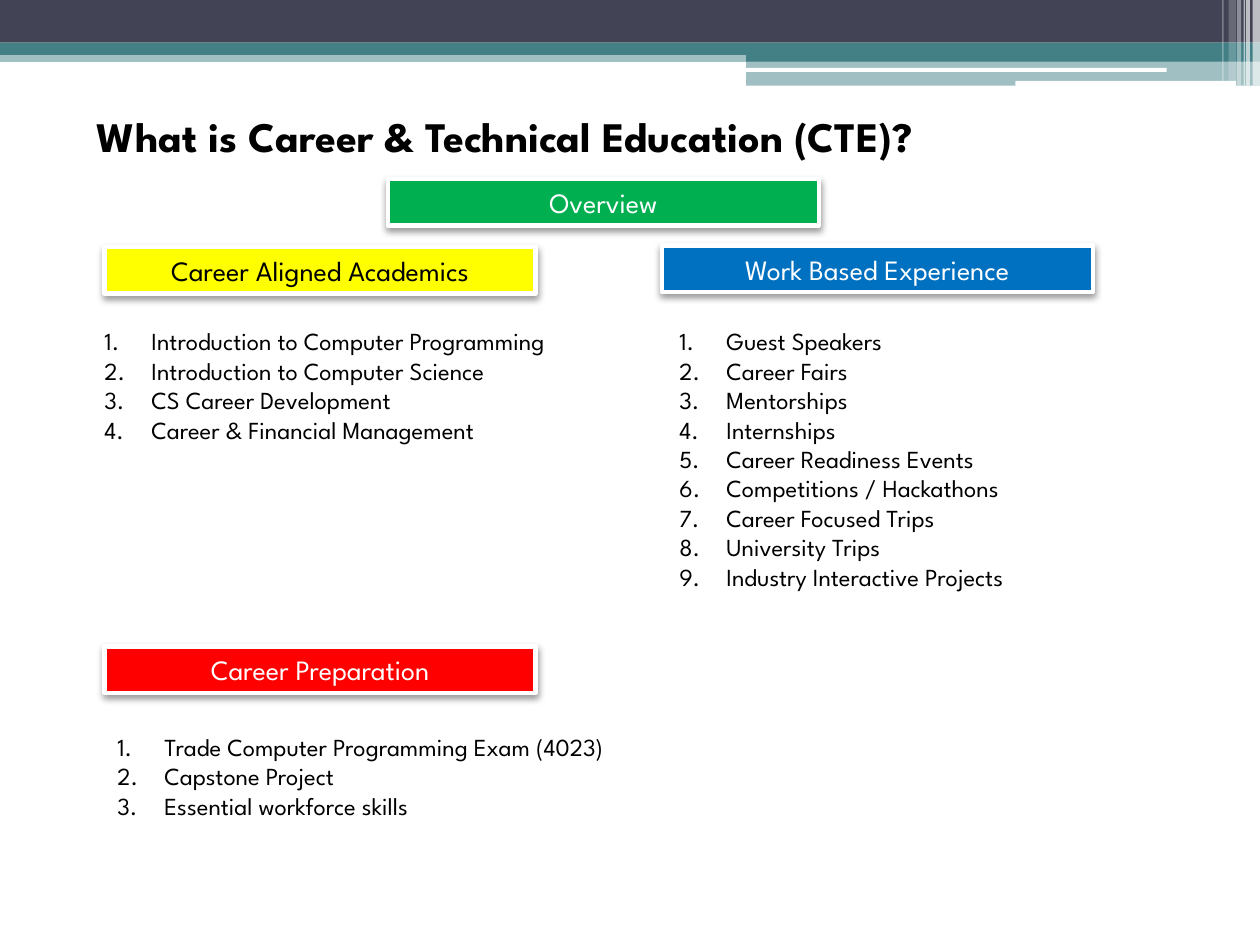
from lxml import etree
from pptx import Presentation
from pptx import util as u
from pptx.dml.color import RGBColor
from pptx.enum import shapes, text
from pptx.oxml import ns

FONT = "League Spartan"
BLACK = RGBColor(0x00, 0x00, 0x00)
WHITE = RGBColor(0xFF, 0xFF, 0xFF)
SLATE = RGBColor(0x42, 0x44, 0x56)
TEAL = RGBColor(0x43, 0x80, 0x86)
GREEN = RGBColor(0x00, 0xB0, 0x50)
YELLOW = RGBColor(0xFF, 0xFF, 0x00)
BLUE = RGBColor(0x00, 0x70, 0xC0)
RED = RGBColor(0xFF, 0x00, 0x00)

PAGE_WIDTH, PAGE_HEIGHT = 25.4, 19.05
LABEL_WIDTH, LABEL_HEIGHT = 8.69, 0.94
INDENT = 0.95

RECT = shapes.MSO_SHAPE.RECTANGLE
ROUND = shapes.MSO_SHAPE.ROUNDED_RECTANGLE

ACADEMICS = [
    "Introduction to Computer Programming",
    "Introduction to Computer Science",
    "CS Career Development",
    "Career & Financial Management",
]
EXPERIENCE = [
    "Guest Speakers",
    "Career Fairs",
    "Mentorships",
    "Internships",
    "Career Readiness Events",
    "Competitions / Hackathons",
    "Career Focused Trips",
    "University Trips",
    "Industry Interactive Projects",
]
PREPARATION = [
    "Trade Computer Programming Exam (4023)",
    "Capstone Project",
    "Essential workforce skills",
]


def add_child(parent, tag, **attributes):
    return etree.SubElement(parent, ns.qn(tag), attributes)


def place(shape, left, top, width, height):
    shape.left, shape.top = u.Cm(left), u.Cm(top)
    shape.width, shape.height = u.Cm(width), u.Cm(height)


def format_text(frame, size, color, align, bold=False):
    frame.word_wrap = True
    frame.auto_size = text.MSO_AUTO_SIZE.NONE
    for para in frame.paragraphs:
        para.alignment = align
        para.space_before = u.Pt(0)
        for span in para.runs:
            span.font.name = FONT
            span.font.size = u.Pt(size)
            span.font.bold = bold
            span.font.color.rgb = color


def add_bar(page, left, top, width, height, color, opacity=100, preset=RECT):
    bar = page.shapes.add_shape(
        preset, u.Cm(left), u.Cm(top), u.Cm(width), u.Cm(height))
    bar.shadow.inherit = False
    bar.fill.solid()
    bar.fill.fore_color.rgb = color
    bar.line.fill.background()
    if opacity < 100:
        tint = bar._element.spPr.find(".//" + ns.qn("a:srgbClr"))
        add_child(tint, "a:alpha", val=str(opacity * 1000))
    return bar


def build_banner(page, left, top, width):
    step = 15.04
    add_bar(page, left, top + 1.02, width, 0.23, TEAL, 50)
    add_bar(page, left, top, width, 0.86, SLATE)
    add_bar(page, left, top + 0.86, width, 0.25, TEAL)
    add_bar(page, left + step, top + 0.99, width - step, 0.25, TEAL)
    add_bar(page, left + step, top + 1.22, width - step, 0.51, TEAL, 50)
    add_bar(page, left + 15.01, top + 1.37, 8.51, 0.08, WHITE, preset=ROUND)
    add_bar(page, left + 20.47, top + 1.63, 4.45, 0.1, WHITE, preset=ROUND)
    right = left + width
    for inset, stripe, height, opacity in (
        (0.15, 0.15, 1.73, 65),
        (0.28, 0.08, 1.73, 65),
        (0.33, 0.03, 1.73, 60),
        (0.46, 0.08, 1.73, 40),
        (0.63, 0.15, 1.63, 20),
        (0.76, 0.03, 1.63, 30),
    ):
        add_bar(page, right - inset, top, stripe, height, WHITE, opacity)


def build_title(page, left, top, width, height):
    title = page.shapes.title
    place(title, left, top, width, height)
    title.text_frame.text = "What is Career & Technical Education (CTE)?"
    title.text_frame.vertical_anchor = text.MSO_ANCHOR.TOP
    format_text(title.text_frame, 24, BLACK, text.PP_ALIGN.LEFT, bold=True)


def build_label(page, left, top, caption, fill, color=WHITE):
    label = add_bar(page, left, top, LABEL_WIDTH, LABEL_HEIGHT, fill)
    label.line.color.rgb = WHITE
    label.line.width = u.Pt(2.5)
    effects = label._element.spPr.find(ns.qn("a:effectLst"))
    shadow = add_child(
        effects, "a:outerShdw", blurRad=str(u.Pt(4.1)), dist=str(u.Pt(2)),
        dir="5400000", rotWithShape="0")
    tint = add_child(shadow, "a:srgbClr", val=str(BLACK))
    add_child(tint, "a:alpha", val="40000")
    label.text_frame.text = caption
    format_text(label.text_frame, 16, color, text.PP_ALIGN.CENTER)


def build_list(body, left, top, width, height, items):
    place(body, left, top, width, height)
    frame = body.text_frame
    frame.text = "\n".join(items)
    frame.vertical_anchor = text.MSO_ANCHOR.TOP
    format_text(frame, 14, BLACK, text.PP_ALIGN.LEFT)
    for para in frame.paragraphs:
        properties = para._p.get_or_add_pPr()
        properties.set("marL", str(u.Cm(INDENT)))
        properties.set("indent", str(-u.Cm(INDENT)))
        add_child(properties, "a:buFont", typeface=FONT)
        add_child(properties, "a:buAutoNum", type="arabicPeriod")


def main():
    deck = Presentation()
    deck.slide_width, deck.slide_height = u.Cm(PAGE_WIDTH), u.Cm(PAGE_HEIGHT)
    page = deck.slides.add_slide(deck.slide_layouts.get_by_name("Comparison"))
    bodies = {body.placeholder_format.idx: body for body in page.placeholders}
    spare = bodies[3]._element
    spare.getparent().remove(spare)

    build_banner(page, 0, 0, PAGE_WIDTH)
    build_title(page, 1.7, 2.11, 22.23, 1.27)
    build_label(page, 7.82, 3.61, "Overview", GREEN)
    build_label(page, 2.11, 4.98, "Career Aligned Academics", YELLOW, BLACK)
    build_list(bodies[2], 1.85, 6.45, 12.7, 2.64, ACADEMICS)
    build_label(page, 13.34, 4.95, "Work Based Experience", BLUE)
    build_list(bodies[4], 13.44, 6.45, 8.46, 5.64, EXPERIENCE)
    build_label(page, 2.11, 13.03, "Career Preparation", RED)
    build_list(bodies[1], 2.11, 14.63, 18.42, 2.06, PREPARATION)

    deck.save("out.pptx")


if __name__ == "__main__":
    main()
